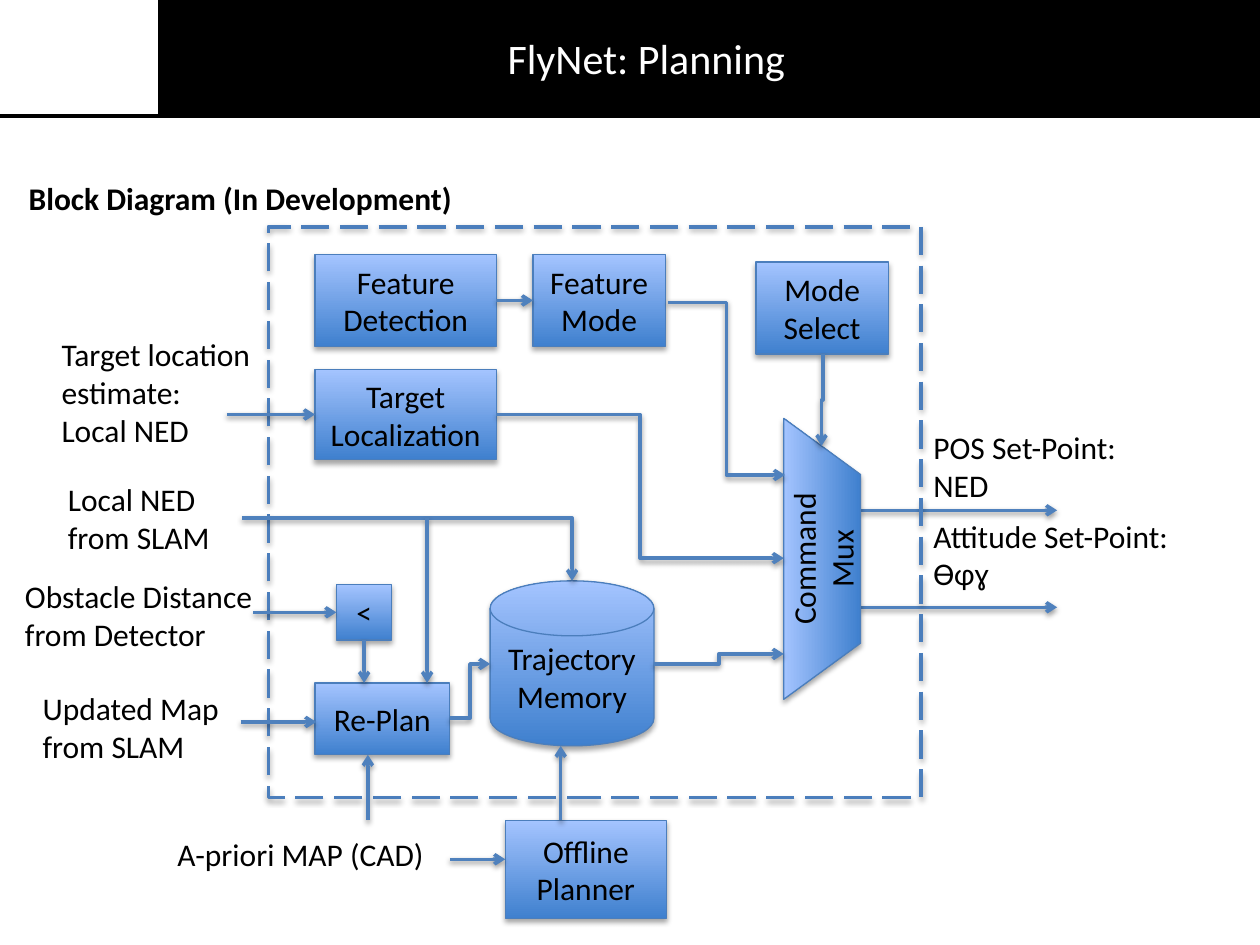
import lxml.etree
import pptx
import pptx.dml.color
import pptx.enum.dml
import pptx.enum.shapes
import pptx.enum.text
import pptx.oxml.ns
import pptx.util

PX = 9144  # one hundredth of an inch
FONT = "Calibri"
BLACK, WHITE = "000000", "FFFFFF"
OUTLINE, ARROW = "4B7EBC", "4F81BD"
GRADIENT = ("3F80CE", "A4C4FF")

Preset = pptx.enum.shapes.MSO_SHAPE
Connector = pptx.enum.shapes.MSO_CONNECTOR
Align = pptx.enum.text.PP_ALIGN
qn = pptx.oxml.ns.qn


def px(value):
    return pptx.util.Emu(round(value * PX))


def color(hex_value):
    return pptx.dml.color.RGBColor.from_string(hex_value)


def cast_shadow(effects, alpha, distance):
    shadow = lxml.etree.SubElement(
        effects, qn("a:outerShdw"), blurRad=str(pptx.util.Pt(3.1)),
        dist=str(pptx.util.Pt(distance)), dir="5400000", rotWithShape="0")
    rgb = lxml.etree.SubElement(shadow, qn("a:srgbClr"), val=BLACK)
    lxml.etree.SubElement(rgb, qn("a:alpha"), val=str(alpha * 1000))


def write(frame, text, size=18, font_color=BLACK, bold=False, align=None):
    """Each line of text is a paragraph; a vertical tab breaks a line within one."""
    frame.word_wrap = True
    for index, line in enumerate(text.split("\n")):
        paragraph = frame.add_paragraph() if index else frame.paragraphs[0]
        paragraph.alignment = align
        for part_index, part in enumerate(line.split("\v")):
            if part_index:
                paragraph.add_line_break()
            run = paragraph.add_run()
            run.text = part
            run.font.name = FONT
            run.font.size = pptx.util.Pt(size)
            run.font.bold = bold
            run.font.color.rgb = color(font_color)


class Region:
    """Places parts relative to a left and top corner."""

    def __init__(self, shapes, left, top):
        self.shapes, self.left, self.top = shapes, left, top

    def place(self, x, y):
        return px(self.left + x), px(self.top + y)

    def label(self, x, y, width, height, text, **style):
        shape = self.shapes.add_textbox(*self.place(x, y), px(width), px(height))
        write(shape.text_frame, text, **style)
        shape.text_frame.auto_size = pptx.enum.text.MSO_AUTO_SIZE.SHAPE_TO_FIT_TEXT
        return shape

    def outline(self, x, y, width, height, preset, line_color, weight):
        shape = self.shapes.add_shape(preset, *self.place(x, y), px(width), px(height))
        shape.shadow.inherit = False
        shape.line.color.rgb = color(line_color)
        shape.line.width = pptx.util.Pt(weight)
        return shape

    def block(self, x, y, width, height, text, preset=Preset.RECTANGLE):
        shape = self.outline(x, y, width, height, preset, OUTLINE, 0.75)
        shape.fill.gradient()
        shape.fill.gradient_angle = 90
        for stop, position, stop_color in zip(shape.fill.gradient_stops, (0, 1), GRADIENT):
            stop.position = position
            stop.color.rgb = color(stop_color)
        cast_shadow(shape._element.spPr.find(qn("a:effectLst")), 35, 1.8)
        shape.text_frame.vertical_anchor = pptx.enum.text.MSO_ANCHOR.MIDDLE
        write(shape.text_frame, text, align=Align.CENTER)
        return shape

    def line(self, start, end, line_color, kind=Connector.STRAIGHT):
        """Returns the connector and its empty effect list."""
        connector = self.shapes.add_connector(kind, *self.place(*start), *self.place(*end))
        connector.line.color.rgb = color(line_color)
        connector.line.width = pptx.util.Pt(2)
        return connector, lxml.etree.SubElement(connector._element.spPr, qn("a:effectLst"))

    def arrow(self, start, end, kind=Connector.STRAIGHT, source=None, target=None):
        """source and target are (shape, side) pairs to join."""
        connector, effects = self.line(start, end, ARROW, kind)
        cast_shadow(effects, 38, 1.6)
        outline = connector._element.spPr.find(qn("a:ln"))
        lxml.etree.SubElement(outline, qn("a:tailEnd"), type="arrow")
        if source:
            connector.begin_connect(*source)
        if target:
            connector.end_connect(*target)
        return connector

    def elbow(self, start, end):
        return self.arrow(start, end, Connector.ELBOW)

    def corner(self, start, end):
        """Arrow with a single bend: across, then down."""
        connector = self.elbow(start, end)
        geometry = connector._element.spPr.find(qn("a:prstGeom"))
        geometry.set("prst", "bentConnector2")

    def upright_elbow(self, start, end):
        """Elbow that leaves and arrives vertically: a level one turned by 90 degrees."""
        middle_x, middle_y = (start[0] + end[0]) / 2, (start[1] + end[1]) / 2
        level = [(middle_x + y - middle_y, middle_y - x + middle_x) for x, y in (start, end)]
        connector = self.elbow(*level)
        connector._element.spPr.find(qn("a:xfrm")).set("rot", "5400000")


def add_header(slide, left, top, title):
    region = Region(slide.shapes.add_group_shape().shapes, left, top)
    region.line((0, 92), (1000, 92), BLACK)
    band = region.outline(126, 0, 874, 91, Preset.RECTANGLE, BLACK, 0.75)
    band.fill.solid()
    band.fill.fore_color.rgb = color(BLACK)
    region.label(131, 21, 764, 50, title, size=24, font_color=WHITE, align=Align.CENTER)


def add_heading(slide, left, top, text):
    heading = Region(slide.shapes, left, top).label(0, 0, 944, 71, text, bold=True)
    properties = heading.text_frame.paragraphs[0]._p.get_or_add_pPr()
    properties.set("marL", str(px(31)))
    properties.set("indent", str(px(-31)))


def add_outputs(slide, left, top):
    region = Region(slide.shapes, left, top)
    for y in (70, 147):
        region.arrow((0, y), (157, y))
    region.label(49, 0, 203, 71, "POS Set-Point:\vNED")
    region.label(49, 70, 226, 71, "Attitude Set-Point:\vƟɸɣ")


def add_planner(slide, left, top):
    """Returns the blocks that take inputs."""
    region = Region(slide.shapes, left, top)
    frame = region.outline(0, 0, 518, 453, Preset.RECTANGLE, OUTLINE, 2)
    frame.fill.background()
    frame.line.dash_style = pptx.enum.dml.MSO_LINE.LONG_DASH
    cast_shadow(frame._element.spPr.find(qn("a:effectLst")), 35, 1.8)

    detection = region.block(37, 22, 144, 73, "Feature Detection")
    feature_mode = region.block(210, 22, 105, 73, "Feature Mode")
    region.block(387, 28, 105, 73, "Mode Select")
    localization = region.block(37, 113, 144, 72, "Target Localization")
    comparator = region.block(54, 284, 44, 44, "<")
    region.block(37, 362, 107, 57, "Re-Plan")
    region.block(176, 281, 130, 131, "Trajectory Memory", Preset.FLOWCHART_MAGNETIC_DISK)
    mux = region.block(328, 233, 223, 61, "Command Mux", Preset.FLOWCHART_MANUAL_OPERATION)
    mux.rotation = 270

    region.arrow((181, 58), (210, 58), source=(detection, 3), target=(feature_mode, 1))
    region.arrow((76, 328), (76, 362), source=(comparator, 2))
    for start, end in (((144, 390), (176, 347)), ((306, 347), (409, 339)),
                       ((181, 149), (409, 263)), ((317, 60), (410, 197))):
        region.elbow(start, end)
    region.upright_elbow((440, 101), (439, 174))
    return localization, comparator


def add_inputs(slide, left, top, localization, comparator):
    region = Region(slide.shapes, left, top)
    region.label(29, 0, 226, 101, "Target location estimate:\nLocal NED")
    region.label(34, 115, 148, 71, "Local NED from SLAM")
    region.label(0, 192, 226, 71, "Obstacle Distance from Detector")
    region.label(14, 281, 166, 71, "Updated Map \vfrom SLAM")
    region.arrow((170, 68), (240, 68), target=(localization, 1))
    region.arrow((191, 225), (256, 225), target=(comparator, 1))
    region.arrow((181, 312), (241, 312))
    region.corner((182, 150), (444, 200))
    region.arrow((329, 150), (329, 281))


def add_offline_planning(slide, left, top):
    region = Region(slide.shapes, left, top)
    region.label(0, 7, 226, 40, "A-priori MAP (CAD)")
    region.block(270, 0, 128, 78, "Offline Planner")
    region.arrow((226, 31), (270, 31))
    region.arrow((314, 0), (314, -59))
    region.arrow((161, 0), (161, -52))


def main():
    presentation = pptx.Presentation()
    presentation.slide_width, presentation.slide_height = px(1000), px(750)
    slide = presentation.slides.add_slide(presentation.slide_layouts[6])
    add_header(slide, 0, 0, "FlyNet: Planning")
    add_heading(slide, 13, 137, "Block Diagram (In Development)")
    add_outputs(slide, 682, 335)
    localization, comparator = add_planner(slide, 213, 180)
    add_inputs(slide, 10, 261, localization, comparator)
    add_offline_planning(slide, 131, 651)
    presentation.save("out.pptx")


if __name__ == "__main__":
    main()
